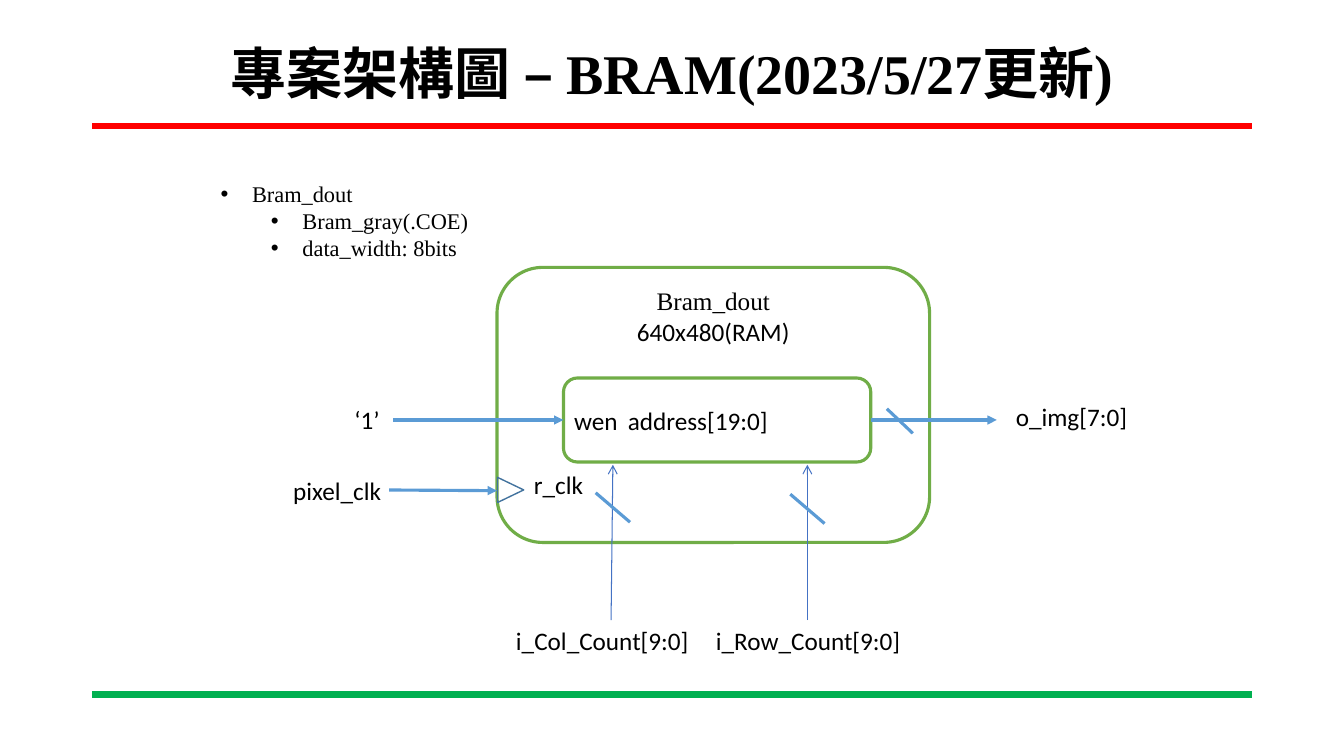
"""Builds a slide with the block diagram of the BRAM in the project."""
from lxml.etree import SubElement
from pptx import Presentation
from pptx.dml.color import RGBColor
from pptx.enum.shapes import MSO_CONNECTOR, MSO_SHAPE
from pptx.enum.text import MSO_ANCHOR, PP_ALIGN
from pptx.oxml.ns import qn
from pptx.util import Pt

SERIF, SANS = "Times New Roman", "Calibri"
BLACK, WHITE, GREEN, BLUE, THIN_BLUE = "000000", "FFFFFF", "70AD47", "5B9BD5", "4472C4"


def paint(fill, colour):
    fill.solid()
    fill.fore_color.rgb = RGBColor.from_string(colour)


def write(shape, lines, size=18, bold=False, align=PP_ALIGN.LEFT, anchor=MSO_ANCHOR.TOP):
    frame = shape.text_frame
    frame.word_wrap = True
    frame.vertical_anchor = anchor
    for index, (text, font) in enumerate(lines):
        para = frame.add_paragraph() if index else frame.paragraphs[0]
        para.alignment = align
        span = para.add_run()
        span.text = text
        for name, value in {"name": font, "size": Pt(size), "bold": bold}.items():
            setattr(span.font, name, value)
        paint(span.font.fill, BLACK)
    return frame.paragraphs


deck = Presentation()
deck.slide_width, deck.slide_height = Pt(960), Pt(540)
page = deck.slides.add_slide(deck.slide_layouts[6])

title = page.shapes.add_textbox(Pt(66), Pt(26), Pt(828), Pt(57))
heading = write(title, [("專案架構圖 – BRAM(2023/5/27更新)", SERIF)], 40, True,
                PP_ALIGN.CENTER, MSO_ANCHOR.MIDDLE)
heading[0].line_spacing = 0.9

notes = page.shapes.add_textbox(Pt(114.5), Pt(125.3), Pt(549), Pt(65.5))
bullets = write(notes, [(text, SERIF) for text in
                        ("Bram_dout", "Bram_gray(.COE)", "data_width: 8bits")], 16)
for para, level in zip(bullets, (1, 2, 2)):
    para.level = level
    settings = para._p.get_or_add_pPr()
    settings.set("marL", str(Pt(22.5 + 36 * level)))
    settings.set("indent", str(Pt(-22.5)))
    SubElement(settings, qn("a:buFont"), typeface="Arial")
    SubElement(settings, qn("a:buChar"), char="•")

blocks = []
for kind, left, top, width, height, colour, weight in (
    (MSO_SHAPE.ROUNDED_RECTANGLE, 355, 191, 309, 196.5, GREEN, 2.25),
    (MSO_SHAPE.ROUNDED_RECTANGLE, 402.5, 270, 219.5, 60, GREEN, 2.25),
    (MSO_SHAPE.ISOSCELES_TRIANGLE, 355.7, 340.6, 18, 18.7, "43739E", 1),
):
    block = page.shapes.add_shape(kind, Pt(left), Pt(top), Pt(width), Pt(height))
    block.shadow.inherit = False
    paint(block.fill, WHITE)
    paint(block.line.fill, colour)
    block.line.width = Pt(weight)
    blocks.append(block)
memory, address, clock_mark = blocks
clock_mark.rotation = 90
clock_mark.fill.background()
write(memory, [("Bram_dout", SERIF), ("640x480(RAM)", SANS)], align=PP_ALIGN.CENTER)
write(address, [("\taddress[19:0]", SANS)], anchor=MSO_ANCHOR.MIDDLE)

for text, left, top, width, align in (
    ("r_clk", 374.3, 332, 50.5, PP_ALIGN.LEFT),
    ("wen", 403, 286, 50.5, PP_ALIGN.LEFT),
    ("‘1’", 246, 285.3, 35, PP_ALIGN.LEFT),
    ("pixel_clk", 202.3, 335.7, 82, PP_ALIGN.LEFT),
    ("o_img[7:0]", 718.5, 283, 98, PP_ALIGN.LEFT),
    ("i_Col_Count[9:0]", 361.5, 442.8, 150, PP_ALIGN.LEFT),
    ("i_Row_Count[9:0]", 503.5, 442.8, 147.5, PP_ALIGN.CENTER),
):
    label = page.shapes.add_textbox(Pt(left), Pt(top), Pt(width), Pt(29))
    write(label, [(text, SANS)], align=align)

wires = []
for x1, y1, x2, y2, colour, weight, head in (
    (66, 90, 894, 90, "FF0000", 4.5, None),
    (66, 496, 894, 496, "00B050", 4.5, None),
    (281, 300, 402.5, 300, BLUE, 2.25, "triangle"),
    (622, 300, 712, 300, BLUE, 2.25, "triangle"),
    (278, 350, 355, 350.5, BLUE, 2.25, "triangle"),
    (436.5, 443, 437.8, 332, THIN_BLUE, 0.75, "arrow"),
    (576.7, 443, 576.7, 332, THIN_BLUE, 0.75, "arrow"),
    (633.5, 292, 652, 309.5, BLUE, 2.25, None),
    (564.5, 353, 589, 374, BLUE, 2.25, None),
    (425.5, 352, 450, 373, BLUE, 2.25, None),
):
    wire = page.shapes.add_connector(MSO_CONNECTOR.STRAIGHT, Pt(x1), Pt(y1), Pt(x2), Pt(y2))
    paint(wire.line.fill, colour)
    wire.line.width = Pt(weight)
    if head:
        SubElement(wire.line._get_or_add_ln(), qn("a:tailEnd"), type=head)
    SubElement(wire._element.spPr, qn("a:effectLst"))
    wires.append(wire)
wires[2].end_connect(address, 1)
wires[3].begin_connect(address, 3)

deck.save("out.pptx")
